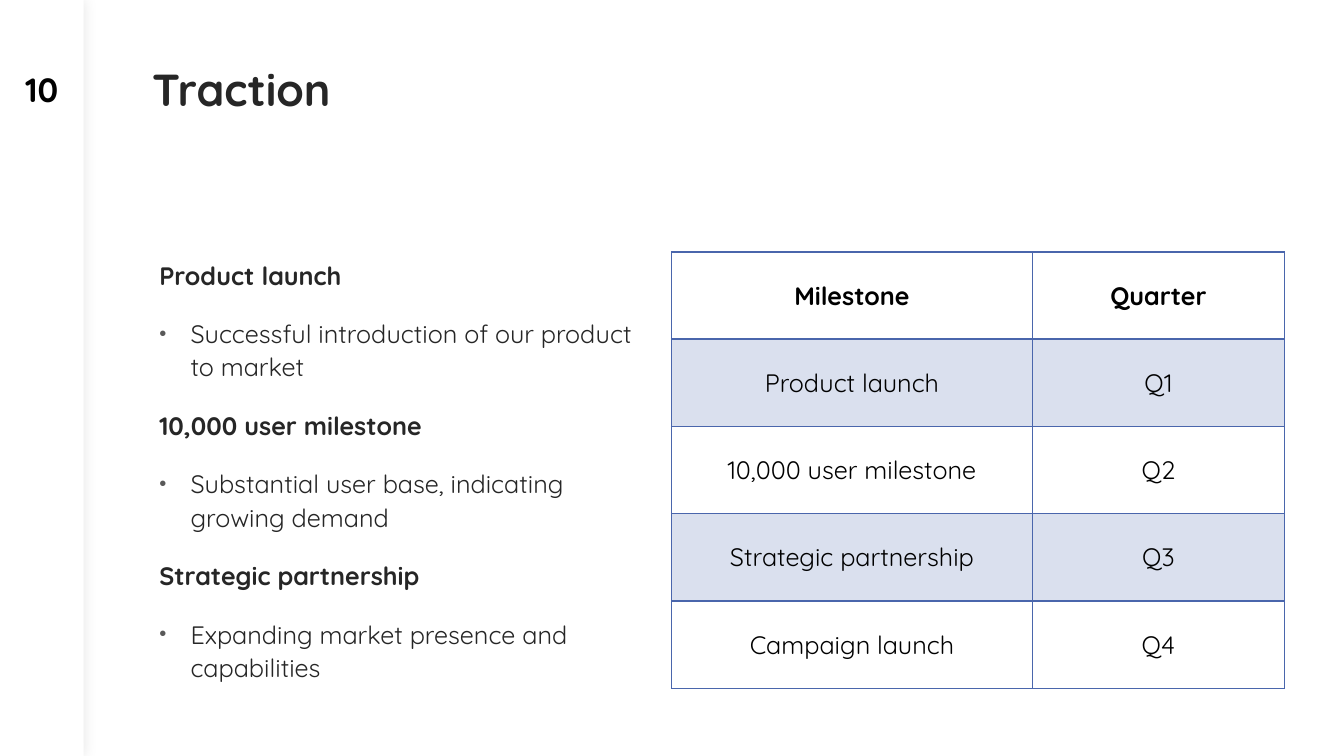
from lxml.etree import SubElement
from pptx import Presentation
from pptx.dml.color import RGBColor
from pptx.enum.shapes import MSO_SHAPE
from pptx.enum.text import MSO_ANCHOR, MSO_AUTO_SIZE, PP_ALIGN
from pptx.oxml.ns import qn
from pptx.util import Inches, Pt

BLACK = RGBColor(0x00, 0x00, 0x00)
WHITE = RGBColor(0xFF, 0xFF, 0xFF)
INK = RGBColor(0x26, 0x26, 0x26)
BULLET_GREY = RGBColor(0x59, 0x59, 0x59)
BLUE = RGBColor(0x4A, 0x66, 0xAC)
FONT = "Quicksand"

HIGHLIGHTS = [
    ("Product launch", "Successful introduction of our product to market"),
    ("10,000 user milestone", "Substantial user base, indicating growing demand"),
    ("Strategic partnership", "Expanding market presence and capabilities"),
]
MILESTONES = [
    ("Milestone", "Quarter"),
    ("Product launch", "Q1"),
    ("10,000 user milestone", "Q2"),
    ("Strategic partnership", "Q3"),
    ("Campaign launch", "Q4"),
]


def apply(target, formats):
    for name, value in formats.items():
        setattr(target, name, value)


def style_font(font, size, color, bold=False):
    apply(font, {"name": FONT, "size": Pt(size), "bold": bold})
    font.color.rgb = color


def place(shape, box):
    apply(shape, dict(zip(("left", "top", "width", "height"), map(Inches, box))))


def add_color(parent, color, alpha=None):
    color_node = SubElement(parent, qn("a:srgbClr"), val=str(color))
    if alpha is not None:
        SubElement(color_node, qn("a:alpha"), val=str(alpha * 1000))


def add_sidebar(slide, box, number):
    left, top, width, height = box
    # White strip with a soft shadow
    strip = slide.shapes.add_shape(MSO_SHAPE.RECTANGLE, *map(Inches, box))
    strip.fill.solid()
    strip.fill.fore_color.rgb = WHITE
    strip.line.fill.background()
    strip.shadow.inherit = False
    effects = strip._element.spPr.find(qn("a:effectLst"))
    shadow = SubElement(effects, qn("a:outerShdw"), blurRad=str(Pt(10)),
                        dist="0", dir="0", rotWithShape="0")
    add_color(shadow, BLACK, 10)

    # Page number
    page = slide.shapes.add_textbox(
        Inches(left), Inches(top + 0.67), Inches(width), Inches(0.42))
    apply(page.text_frame, {"text": number, "word_wrap": True,
                            "vertical_anchor": MSO_ANCHOR.MIDDLE})
    paragraph = page.text_frame.paragraphs[0]
    paragraph.alignment = PP_ALIGN.CENTER
    style_font(paragraph.runs[0].font, 24, BLACK, True)


def add_heading(slide, box, text):
    title = slide.shapes.title
    place(title, box)
    apply(title.text_frame, {"text": text, "vertical_anchor": MSO_ANCHOR.TOP,
                             "auto_size": MSO_AUTO_SIZE.NONE})
    paragraph = title.text_frame.paragraphs[0]
    apply(paragraph, {"alignment": PP_ALIGN.LEFT, "line_spacing": 0.8})
    style_font(paragraph.runs[0].font, 32, INK, True)


def set_bullet(paragraph, bulleted):
    properties = paragraph._p.get_or_add_pPr()
    margin, indent = (0.36, -0.31) if bulleted else (0.05, 0)
    properties.set("marL", str(Inches(margin)))
    properties.set("indent", str(Inches(indent)))
    if bulleted:
        add_color(SubElement(properties, qn("a:buClr")), BULLET_GREY)
        SubElement(properties, qn("a:buSzPct"), val="80000")
        SubElement(properties, qn("a:buFont"), typeface="Arial")
        SubElement(properties, qn("a:buChar"), char="•")
    else:
        SubElement(properties, qn("a:buNone"))


def add_highlights(slide, box, highlights):
    body = slide.placeholders[1]
    place(body, box)
    frame = body.text_frame
    apply(frame, {"vertical_anchor": MSO_ANCHOR.TOP,
                  "auto_size": MSO_AUTO_SIZE.NONE})
    lines = [line for pair in highlights for line in pair]
    for index, line in enumerate(lines):
        level = index % 2
        paragraph = frame.add_paragraph() if index else frame.paragraphs[0]
        set_bullet(paragraph, level == 1)
        apply(paragraph, {"text": line, "level": level, "line_spacing": 1.1,
                          "space_before": Pt(18 if index else 0),
                          "space_after": Pt(0)})
        style_font(paragraph.runs[0].font, 18, INK, level == 0)


def format_cell(cell, row):
    apply(cell, {"vertical_anchor": MSO_ANCHOR.MIDDLE})
    paragraph = cell.text_frame.paragraphs[0]
    paragraph.alignment = PP_ALIGN.CENTER
    style_font(paragraph.runs[0].font, 18, BLACK, row == 0)

    # Borders, heavier under the header
    properties = cell._tc.get_or_add_tcPr()
    widths = {"L": 1, "R": 1, "T": 2 if row == 1 else 1, "B": 2 if row == 0 else 1}
    for side, width in widths.items():
        border = SubElement(properties, qn(f"a:ln{side}"), w=str(Pt(width)))
        add_color(SubElement(border, qn("a:solidFill")), BLUE)

    # Tint on every other row
    if row % 2:
        add_color(SubElement(properties, qn("a:solidFill")), BLUE, 20)
    else:
        cell.fill.background()


def add_milestones(slide, box, milestones):
    table = slide.shapes.add_table(
        len(milestones), len(milestones[0]), *map(Inches, box)).table
    apply(table, {"first_row": False, "horz_banding": False})
    for column, width in zip(table.columns, (3.58, 2.5)):
        column.width = Inches(width)
    for row, texts in enumerate(milestones):
        for column, text in enumerate(texts):
            cell = table.cell(row, column)
            cell.text = text
            format_cell(cell, row)


def main():
    deck = Presentation()
    apply(deck, {"slide_width": Inches(13.33), "slide_height": Inches(7.5)})
    slide = deck.slides.add_slide(deck.slide_layouts[1])
    add_sidebar(slide, (0, 0, 0.83, 7.5), "10")
    add_heading(slide, (1.41, 0.67, 5.38, 1.58), "Traction")
    add_highlights(slide, (1.43, 2.5, 5, 4.33), HIGHLIGHTS)
    add_milestones(slide, (6.66, 2.5, 6.08, 4.33), MILESTONES)
    deck.save("out.pptx")


if __name__ == "__main__":
    main()
